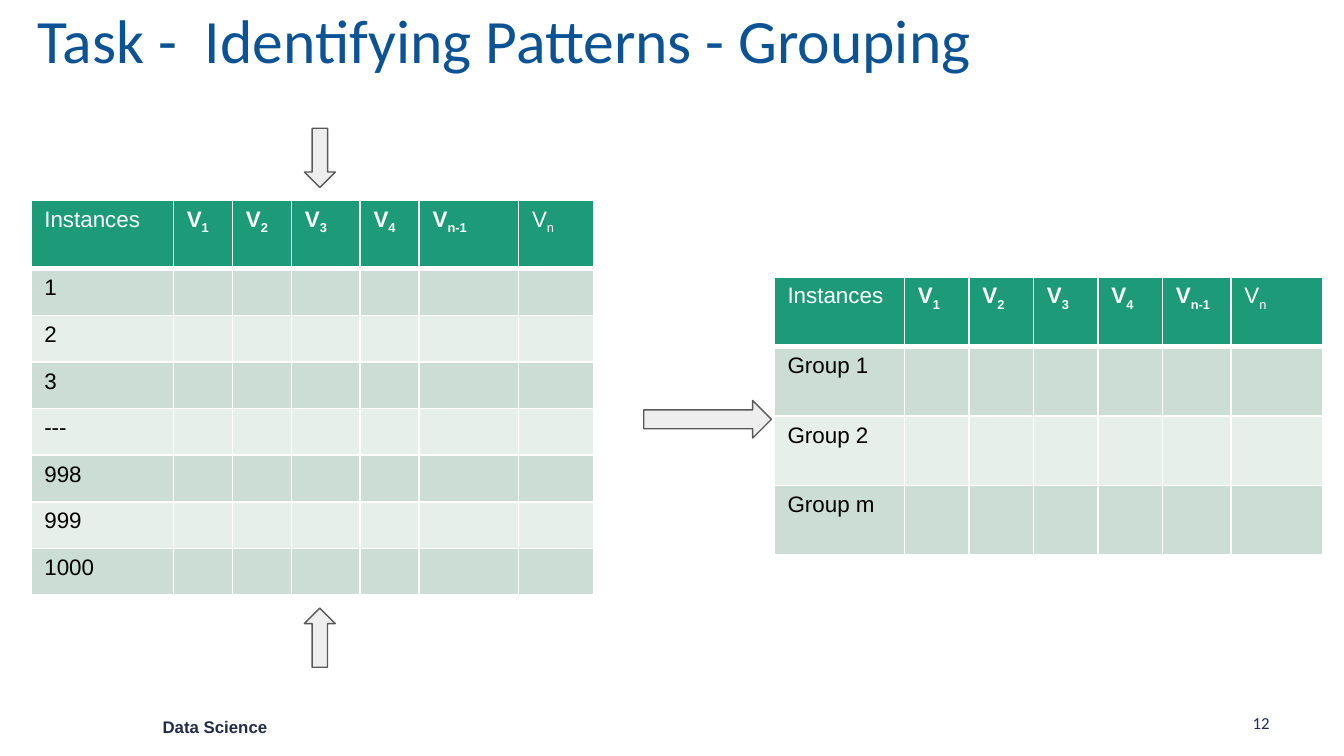
from dataclasses import dataclass

from lxml import etree
from pptx import Presentation
from pptx import util as u
from pptx.dml.color import RGBColor
from pptx.enum import shapes, text
from pptx.oxml import ns

WHITE = "FFFFFF"
BLACK = "000000"
NAVY = "232D47"
BLUE = "0B5394"
HEADER_GREEN = "1D9A78"
BANDS = ("CBDDD5", "E7EFEB")
SUBSCRIPTS = ("1", "2", "3", "4", "n-1", "n")
TABLE_SIZE = 12


@dataclass(frozen=True)
class Label:
    words: str
    left: float
    top: float
    width: float
    height: float
    size: float
    font: str
    color: str
    bold: bool = False
    anchor: text.MSO_ANCHOR = text.MSO_ANCHOR.TOP
    line_spacing: float = 1.0


@dataclass(frozen=True)
class Grid:
    left: float
    top: float
    height: float
    header_height: float
    columns: tuple[float, ...]
    names: tuple[str, ...]


@dataclass(frozen=True)
class Arrow:
    left: float
    top: float
    width: float
    height: float
    rotation: float = 0


LABELS = (
    Label("Data Science", 1.14, 5.29, 1.64, 0.23, 9, "Arial", NAVY, bold=True),
    Label("12", 9.25, 5.26, 0.5, 0.23, 9, "Calibri", NAVY),
    Label("Task -  Identifying Patterns - Grouping", 0.21, -0.09, 8.62, 0.83, 33,
          "Calibri", BLUE, anchor=text.MSO_ANCHOR.MIDDLE, line_spacing=0.9),
)
GRIDS = (
    Grid(0.23, 1.49, 2.94, 0.51, (1.06, 0.44, 0.44, 0.51, 0.44, 0.74, 0.56),
         ("1", "2", "3", "---", "998", "999", "1000")),
    Grid(5.76, 2.06, 2.07, 0.52, (0.97, 0.48, 0.48, 0.48, 0.48, 0.51, 0.68),
         ("Group 1", "Group 2", "Group m")),
)
ARROWS = (
    Arrow(4.79, 2.98, 0.95, 0.28),
    Arrow(2.16, 1.06, 0.44, 0.23, rotation=90),
    Arrow(2.16, 4.63, 0.44, 0.23, rotation=270),
)


def rgb(color: str) -> RGBColor:
    return RGBColor.from_string(color)


def add_text(para, words: str, *, size: float, color: str, font: str = "Arial",
             bold: bool = False, subscript: bool = False) -> None:
    span = para.add_run()
    span.text = words
    span.font.size = u.Pt(size)
    span.font.name = font
    span.font.bold = bold
    span.font.color.rgb = rgb(color)
    if subscript:
        span.font._element.set("baseline", "-25000")


def draw_label(page, label: Label) -> None:
    box = page.shapes.add_textbox(u.Inches(label.left), u.Inches(label.top),
                                  u.Inches(label.width), u.Inches(label.height))
    frame = box.text_frame
    frame.word_wrap = True
    frame.vertical_anchor = label.anchor
    frame.margin_left = frame.margin_right = u.Inches(0.07)
    frame.margin_top = frame.margin_bottom = u.Inches(0.04)
    para = frame.paragraphs[0]
    para.line_spacing = label.line_spacing
    add_text(para, label.words, size=label.size, color=label.color,
             font=label.font, bold=label.bold)


def style_cell(cell, fill: str, top: float = 1, bottom: float = 1) -> None:
    properties = cell._tc.get_or_add_tcPr()
    for side, width in (("L", 1), ("R", 1), ("T", top), ("B", bottom)):
        line = etree.SubElement(properties, ns.qn(f"a:ln{side}"), w=str(u.Pt(width)))
        solid = etree.SubElement(line, ns.qn("a:solidFill"))
        etree.SubElement(solid, ns.qn("a:srgbClr"), val=WHITE)
    cell.fill.solid()
    cell.fill.fore_color.rgb = rgb(fill)


def draw_header(table) -> None:
    cells = list(table.rows[0].cells)
    for cell in cells:
        style_cell(cell, HEADER_GREEN, bottom=3)
    add_text(cells[0].text_frame.paragraphs[0], "Instances", size=TABLE_SIZE, color=WHITE)
    for cell, subscript in zip(cells[1:], SUBSCRIPTS):
        para = cell.text_frame.paragraphs[0]
        bold = subscript != SUBSCRIPTS[-1]
        add_text(para, "V", size=TABLE_SIZE, color=WHITE, bold=bold)
        add_text(para, subscript, size=TABLE_SIZE, color=WHITE, bold=bold, subscript=True)


def draw_grid(page, grid: Grid) -> None:
    row_height = (grid.height - grid.header_height) / len(grid.names)
    heights = [grid.header_height] + [row_height] * len(grid.names)
    table = page.shapes.add_table(
        len(heights), len(grid.columns), u.Inches(grid.left), u.Inches(grid.top),
        u.Inches(sum(grid.columns)), u.Inches(grid.height)).table
    table.horz_banding = False
    for column, width in zip(table.columns, grid.columns):
        column.width = u.Inches(width)
    for row, height in zip(table.rows, heights):
        row.height = u.Inches(height)
    draw_header(table)
    for index, name in enumerate(grid.names):
        cells = list(table.rows[index + 1].cells)
        for cell in cells:
            style_cell(cell, BANDS[index % 2], top=3 if index == 0 else 1)
        add_text(cells[0].text_frame.paragraphs[0], name, size=TABLE_SIZE, color=BLACK)
        for cell in cells[1:]:
            para = cell.text_frame.paragraphs[0]
            etree.SubElement(para._p, ns.qn("a:endParaRPr"), sz=str(TABLE_SIZE * 100))


def draw_arrow(page, arrow: Arrow) -> None:
    shape = page.shapes.add_shape(
        shapes.MSO_SHAPE.RIGHT_ARROW, u.Inches(arrow.left), u.Inches(arrow.top),
        u.Inches(arrow.width), u.Inches(arrow.height))
    shape.rotation = arrow.rotation
    shape.shadow.inherit = False
    shape.fill.solid()
    shape.fill.fore_color.rgb = rgb("EEEEEE")
    shape.line.color.rgb = rgb("595959")
    shape.line.width = u.Pt(0.75)


def main() -> None:
    deck = Presentation()
    deck.slide_width = u.Inches(10)
    deck.slide_height = u.Inches(10 * 9 / 16)
    page = deck.slides.add_slide(deck.slide_layouts[6])
    for grid in GRIDS:
        draw_grid(page, grid)
    for label in LABELS:
        draw_label(page, label)
    for arrow in ARROWS:
        draw_arrow(page, arrow)
    deck.save("out.pptx")


if __name__ == "__main__":
    main()
